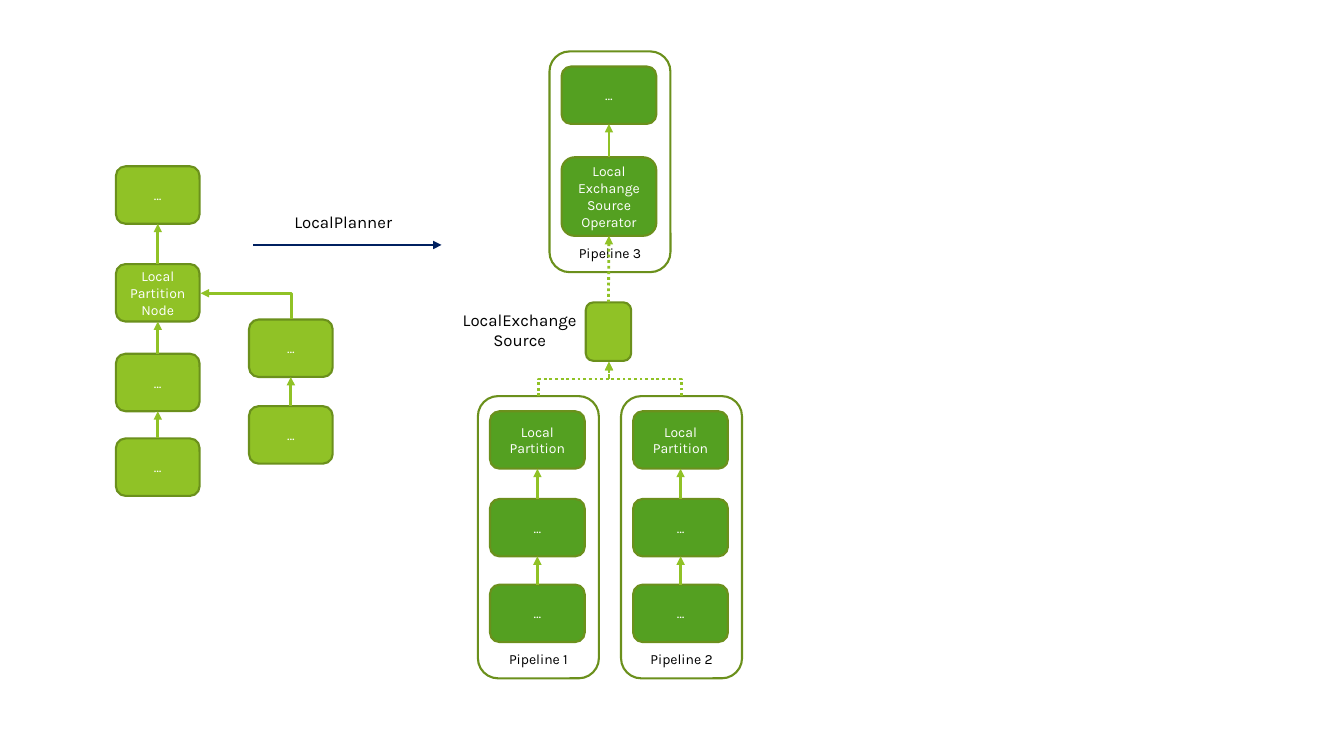
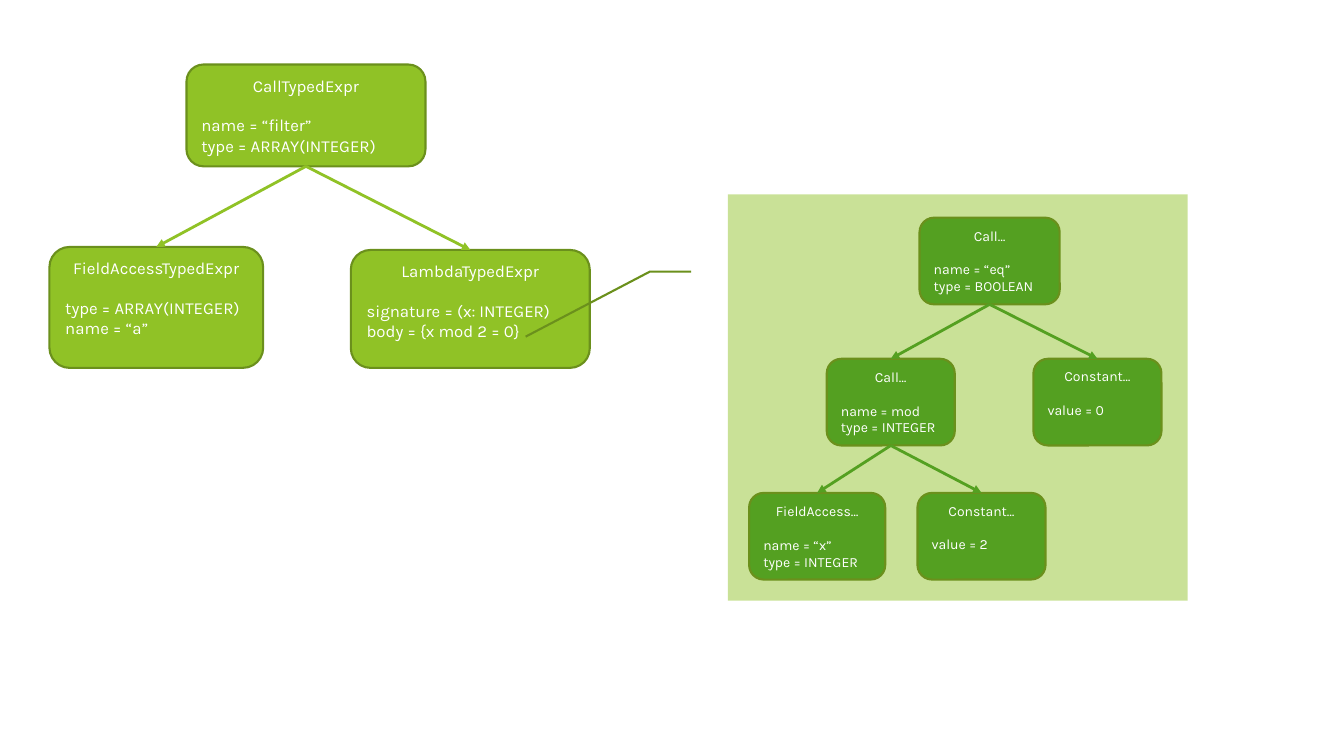
from lxml.etree import SubElement
from pptx import Presentation
from pptx.dml.color import RGBColor
from pptx.enum.dml import MSO_LINE, MSO_PATTERN
from pptx.enum.shapes import MSO_CONNECTOR, MSO_SHAPE
from pptx.enum.text import MSO_ANCHOR, MSO_AUTO_SIZE, PP_ALIGN
from pptx.oxml.ns import qn
from pptx.util import Inches, Pt

WHITE = RGBColor(0xFF, 0xFF, 0xFF)
BLACK = RGBColor(0x00, 0x00, 0x00)
LIME = RGBColor(0x90, 0xC2, 0x26)
GREEN = RGBColor(0x54, 0xA0, 0x21)
OLIVE = RGBColor(0x6B, 0x90, 0x1C)
NAVY = RGBColor(0x00, 0x20, 0x60)
FONT = "Karla"
CELL = 0.1
INSET = 1.2
NODE = 5.7
LEAD = 1.17
TOP, BASE = 0, 2


def cells(*counts):
    return [Inches(count * CELL) for count in counts]


def style(target, values):
    for name, value in values.items():
        setattr(target, name, value)


class Deck:
    def __init__(self):
        self.show = Presentation()
        style(self.show, {"slide_width": Inches(13.33), "slide_height": Inches(7.5)})
        self.slide = None

    def page(self):
        self.slide = self.show.slides.add_slide(self.show.slide_layouts[6])

    def text(self, frame, words, size, ink, anchor=MSO_ANCHOR.MIDDLE, card=False):
        style(frame, {"word_wrap": True, "vertical_anchor": anchor})
        for spot, line in enumerate(words.split("\n")):
            part = frame.paragraphs[0] if spot == 0 else frame.add_paragraph()
            part.alignment = PP_ALIGN.LEFT if card and spot else PP_ALIGN.CENTER
            if card and spot == 1:
                part.space_before = Pt(round(size * LEAD))
            run = part.add_run()
            run.text = line
            style(run.font, {"name": FONT, "size": Pt(size)})
            run.font.color.rgb = ink

    def shape(self, kind, place, fill):
        shape = self.slide.shapes.add_shape(kind, *cells(*place))
        shape.shadow.inherit = False
        shape.fill.solid()
        shape.fill.fore_color.rgb = fill
        shape.line.color.rgb = OLIVE
        shape.line.width = Pt(1.5)
        return shape

    def box(self, place, words, fill=LIME, size=10, ink=WHITE, **form):
        box = self.shape(MSO_SHAPE.ROUNDED_RECTANGLE, place, fill)
        if words:
            self.text(box.text_frame, words, size, ink, **form)
        return box

    def card(self, place, words, fill=LIME, size=12, anchor=MSO_ANCHOR.MIDDLE):
        return self.box(place, words, fill, size, anchor=anchor, card=True)

    def store(self, place):
        store = self.box(place, "")
        store.fill.patterned()
        store.fill.pattern = MSO_PATTERN.DARK_HORIZONTAL
        store.fill.fore_color.rgb = LIME
        store.fill.back_color.rgb = WHITE
        return store

    def label(self, place, words):
        label = self.slide.shapes.add_textbox(*cells(*place))
        self.text(label.text_frame, words, 12, BLACK, MSO_ANCHOR.TOP)
        label.text_frame.auto_size = MSO_AUTO_SIZE.SHAPE_TO_FIT_TEXT

    def callout(self, place, bends):
        callout = self.shape(MSO_SHAPE.LINE_CALLOUT_2_NO_BORDER, place, LIME)
        for spot, bend in enumerate(bends):
            callout.adjustments[spot] = bend
        tint = callout._element.spPr.find(qn("a:solidFill"))[0]
        SubElement(tint, qn("a:alpha"), val="48000")

    def arrow(self, start, end, ink=LIME, dots=False, kind=MSO_CONNECTOR.STRAIGHT):
        arrow = self.slide.shapes.add_connector(kind, *cells(*start, *end))
        arrow.line.color.rgb = ink
        arrow.line.width = Pt(2)
        if dots:
            arrow.line.dash_style = MSO_LINE.ROUND_DOT
        form = arrow._element.spPr
        SubElement(form.find(qn("a:ln")), qn("a:tailEnd"), type="triangle")
        SubElement(form, qn("a:effectLst"))
        return arrow

    def link(self, start, end, sides=(TOP, BASE), **form):
        arrow = self.arrow((0, 0), (0, 0), **form)
        arrow.begin_connect(start, sides[0])
        arrow.end_connect(end, sides[1])

    def rise(self, start, end, preset="bentConnector3", dots=False):
        mid_x, mid_y = [(a + b) / 2 for a, b in zip(start, end)]
        half_x, half_y = (end[0] - start[0]) / 2, (start[1] - end[1]) / 2
        arrow = self.arrow((mid_x - half_y, mid_y - half_x),
                           (mid_x + half_y, mid_y + half_x),
                           dots=dots, kind=MSO_CONNECTOR.ELBOW)
        form = arrow._element.spPr
        form.find(qn("a:xfrm")).set("rot", str(270 * 60000))
        form.find(qn("a:prstGeom")).set("prst", preset)

    def chain(self, col, wide, steps, fill=LIME):
        boxes = [self.box((col, row, wide, high), words, fill)
                 for row, high, words in steps]
        for upper, lower in zip(boxes, boxes[1:]):
            self.link(lower, upper)
        return boxes

    def pipe(self, col, row, high, name, steps):
        self.box((col, row, 12, high), name, WHITE, ink=BLACK, anchor=MSO_ANCHOR.BOTTOM)
        return self.chain(col + INSET, 9.4, steps, GREEN)

    def tree(self, root, leaves, ink):
        for leaf in leaves:
            self.link(root, leaf, (BASE, TOP), ink=ink)


def draw_plan(deck):
    deck.page()
    deck.chain(11.5, 8.3, [(16.5, NODE, "…"), (26.2, NODE, "Local\nPartitionNode"),
                           (35.1, NODE, "…"), (43.5, NODE, "…")])
    deck.chain(24.7, 8.3, [(31.7, NODE, "…"), (40.3, NODE, "…")])
    deck.rise((28.9, 31.7), (19.9, 29.1), "bentConnector2")
    deck.arrow((25.1, 24.3), (43.8, 24.3), NAVY)
    deck.label((25.4, 20.5, 17.3, 3), "LocalPlanner")

    last = deck.pipe(54.5, 5.1, 21.9, "Pipeline 3",
                     [(6.6, NODE, "…"),
                      (15.6, 7.8, "Local\nExchange\nSource\nOperator")])[-1]
    store = deck.store((58.1, 30, 4.5, 5.8))
    deck.label((42.9, 30.2, 17.3, 5), "LocalExchange\nSource")
    for col, name in ((47.4, "Pipeline 1"), (61.6, "Pipeline 2")):
        deck.pipe(col, 39.3, 28, name, [(40.8, NODE, "Local Partition"),
                                       (49.5, NODE, "…"), (58, NODE, "…")])
        deck.rise((col + 6, 39.3), (60.4, 35.9), dots=True)
    deck.link(store, last, dots=True)


def draw_types(deck):
    deck.page()
    high, mid = MSO_ANCHOR.TOP, MSO_ANCHOR.MIDDLE
    body = deck.card((34.8, 24.8, 23.7, 11.7),
                     "LambdaTypedExpr\nsignature = (x: INTEGER)\nbody = {x mod 2 = 0}",
                     anchor=high)
    deck.callout((72.2, 19.3, 45.6, 40.3), (0.19, -0.08, 0.19, -0.17, 0.35, -0.44))
    call = deck.card((18.5, 6.4, 23.7, 10.1),
                     "CallTypedExpr\nname = “filter”\ntype = ARRAY(INTEGER)")
    field = deck.card((4.9, 24.5, 21.2, 12),
                      "FieldAccessTypedExpr\ntype = ARRAY(INTEGER)\nname = “a”",
                      anchor=high)
    deck.tree(call, (field, body), LIME)

    equal, mod, zero, name, two = [
        deck.card((col, row, wide, 8.6), words, GREEN, 10, anchor)
        for col, row, wide, words, anchor in (
            (91.2, 21.6, 13.9, "Call…\nname = “eq”\ntype = BOOLEAN", mid),
            (82, 35.6, 12.7, "Call…\nname = mod\ntype = INTEGER", mid),
            (102.5, 35.6, 12.7, "Constant…\nvalue = 0", high),
            (74.3, 48.9, 13.5, "FieldAccess…\nname = “x”\ntype = INTEGER", mid),
            (91, 48.9, 12.7, "Constant…\nvalue = 2", high))]
    deck.tree(equal, (mod, zero), GREEN)
    deck.tree(mod, (name, two), GREEN)


def main():
    deck = Deck()
    draw_plan(deck)
    draw_types(deck)
    deck.show.save("out.pptx")


if __name__ == "__main__":
    main()
